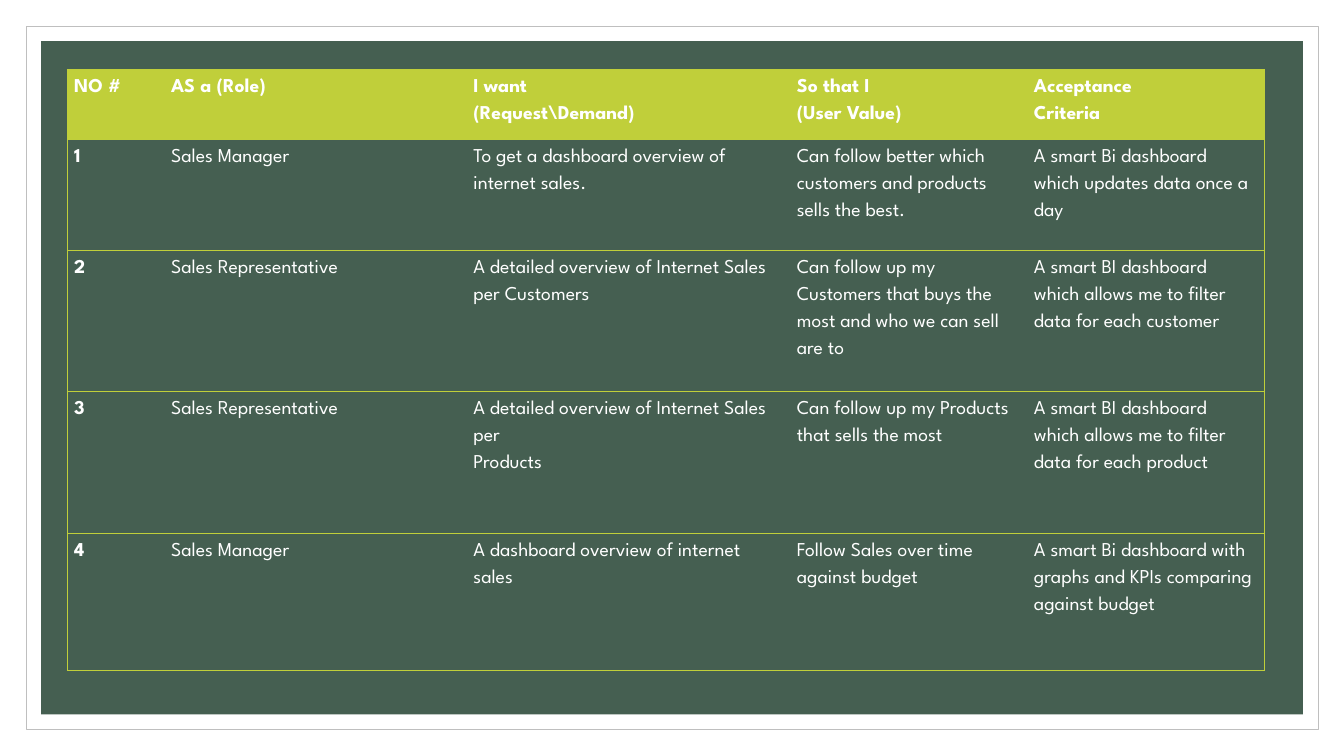
from dataclasses import dataclass

from lxml.etree import SubElement
from pptx import Presentation
from pptx.dml.color import RGBColor
from pptx.enum.shapes import MSO_SHAPE
from pptx.enum.text import PP_ALIGN
from pptx.oxml.ns import qn
from pptx.slide import Slide
from pptx.table import Table, _Cell
from pptx.util import Pt

COLORS = {"white": "FFFFFF", "frame": "BFBFBF", "green": "455F51", "lime": "C0CF3A"}
FONT = "League Spartan"
FONT_SIZE = 14
LINE_WIDTH = 0.5
CELL_MARGIN = 5
NO_GRID_STYLE = "{2D5ABB26-0587-4C30-8999-92F81FD0307C}"

TABLE_LEFT, TABLE_TOP = 48, 49.5
COLUMN_WIDTHS = [69.2, 216, 231, 169.4, 169.4]
ROW_HEIGHTS = [50.2, 79.2, 101, 101, 97.9]


@dataclass
class Panel:
    left: float
    top: float
    width: float
    height: float
    fill: str
    line: str | None = None


@dataclass
class Story:
    number: str
    role: str
    request: str
    value: str
    criteria: str

    def texts(self) -> list[str]:
        return [self.number, self.role, self.request, self.value, self.criteria]


PANELS = [
    Panel(18.9, 18.9, 922.8, 502.4, "white", "frame"),
    Panel(29.3, 29.3, 901.4, 481, "green"),
]

HEADER = Story("NO #", "AS a (Role)", "I want\n(Request\\Demand)",
               "So that I\n(User Value)", "Acceptance\nCriteria")
STORIES = [
    Story("1", "Sales Manager",
          "To get a dashboard overview of internet sales.",
          "Can follow better which customers and products sells the best.",
          "A smart Bi dashboard which updates data once a day"),
    Story("2", "Sales Representative",
          "A detailed overview of Internet Sales per Customers",
          "Can follow up my Customers that buys the most and who we can sell are to",
          "A smart BI dashboard which allows me to filter data for each customer"),
    Story("3", "Sales Representative",
          "A detailed overview of Internet Sales per\nProducts",
          "Can follow up my Products that sells the most",
          "A smart BI dashboard which allows me to filter data for each product"),
    Story("4", "Sales Manager",
          "A dashboard overview of internet sales",
          "Follow Sales over time against budget",
          "A smart Bi dashboard with graphs and KPIs comparing against budget"),
]


def color(name: str) -> RGBColor:
    return RGBColor.from_string(COLORS[name])


def draw_panel(slide: Slide, panel: Panel) -> None:
    shape = slide.shapes.add_shape(MSO_SHAPE.RECTANGLE, Pt(panel.left), Pt(panel.top),
                                   Pt(panel.width), Pt(panel.height))
    shape.shadow.inherit = False
    shape.fill.solid()
    shape.fill.fore_color.rgb = color(panel.fill)
    if panel.line:
        shape.line.color.rgb = color(panel.line)
        shape.line.width = Pt(LINE_WIDTH)
    else:
        shape.line.fill.background()


def set_borders(cell: _Cell, sides: str) -> None:
    """Draw lime lines on the given sides (letters L, R, T, B, in that order)."""
    properties = cell._tc.get_or_add_tcPr()
    for side in sides:
        line = SubElement(properties, qn(f"a:ln{side}"), w=str(Pt(LINE_WIDTH)))
        fill = SubElement(line, qn("a:solidFill"))
        SubElement(fill, qn("a:srgbClr"), val=COLORS["lime"])


def write_cell(cell: _Cell, text: str, bold: bool, alignment: PP_ALIGN) -> None:
    cell.margin_left = cell.margin_right = Pt(CELL_MARGIN)
    cell.margin_top = cell.margin_bottom = 0
    frame = cell.text_frame
    for index, line in enumerate(text.split("\n")):
        paragraph = frame.add_paragraph() if index else frame.paragraphs[0]
        paragraph.alignment = alignment
        paragraph.line_spacing = 1.5
        run = paragraph.add_run()
        run.text = line
        run.font.name = FONT
        run.font.size = Pt(FONT_SIZE)
        run.font.bold = bold
        run.font.color.rgb = color("white")


def fill_row(table: Table, row: int, story: Story) -> None:
    is_header = row == 0
    last_column = len(COLUMN_WIDTHS) - 1
    for column, text in enumerate(story.texts()):
        cell = table.cell(row, column)
        outer = {0: "L", last_column: "R"}.get(column, "")
        set_borders(cell, outer + "TB")
        if is_header:
            cell.fill.solid()
            cell.fill.fore_color.rgb = color("lime")
        else:
            cell.fill.background()
        write_cell(cell, text, bold=is_header or column == 0,
                   alignment=PP_ALIGN.JUSTIFY if is_header else PP_ALIGN.LEFT)


def draw_story_table(slide: Slide) -> None:
    rows = [HEADER, *STORIES]
    table = slide.shapes.add_table(
        len(rows), len(COLUMN_WIDTHS), Pt(TABLE_LEFT), Pt(TABLE_TOP),
        Pt(sum(COLUMN_WIDTHS)), Pt(sum(ROW_HEIGHTS))).table
    table.horz_banding = False
    table._tbl.tblPr.find(qn("a:tableStyleId")).text = NO_GRID_STYLE
    for column, width in zip(table.columns, COLUMN_WIDTHS):
        column.width = Pt(width)
    for row, height in zip(table.rows, ROW_HEIGHTS):
        row.height = Pt(height)
    for index, story in enumerate(rows):
        fill_row(table, index, story)


def main() -> None:
    presentation = Presentation()
    presentation.slide_width, presentation.slide_height = Pt(960), Pt(540)
    slide = presentation.slides.add_slide(presentation.slide_layouts[6])
    for panel in PANELS:
        draw_panel(slide, panel)
    draw_story_table(slide)
    presentation.save("out.pptx")


if __name__ == "__main__":
    main()
